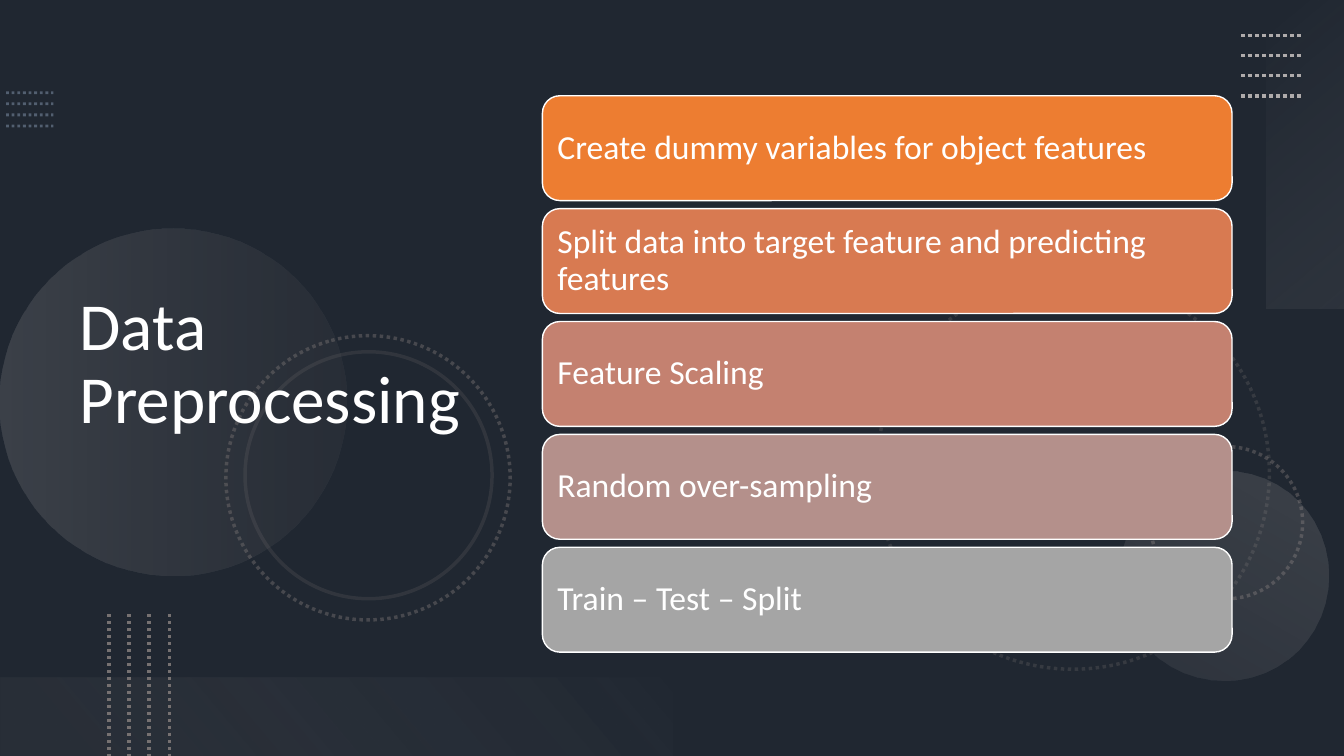
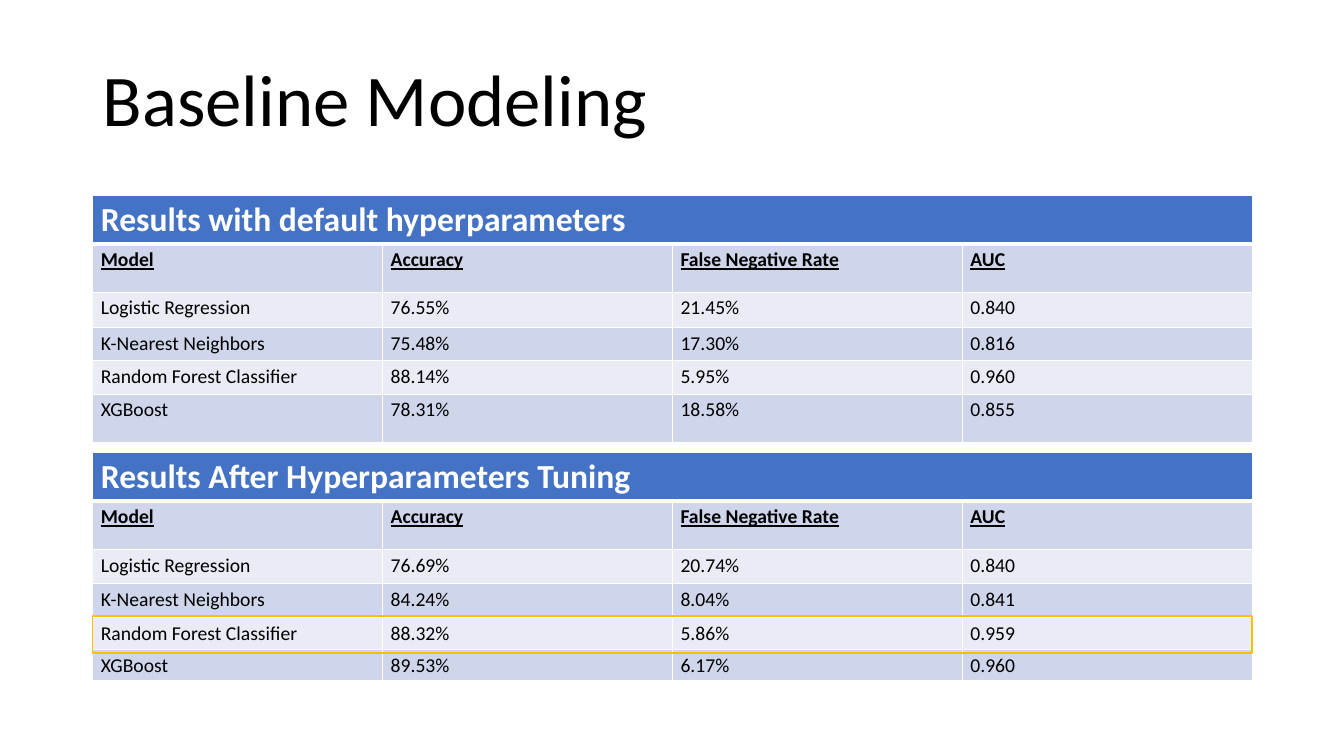
import lxml.etree
import pptx
import pptx.dml.color
import pptx.enum.dml
import pptx.enum.shapes
import pptx.enum.text
import pptx.oxml.ns
import pptx.util

Inches = pptx.util.Inches
Pt = pptx.util.Pt
Kind = pptx.enum.shapes.MSO_SHAPE
qn = pptx.oxml.ns.qn


class Theme:
    font = "Calibri"
    white, black = "FFFFFF", "000000"
    slate, steel = "44546A", "8497B0"
    gray, silver, pale = "767171", "AFABAB", "F5F5F5"
    steps = ["ED7D31", "D87A51", "C48170", "B4908B", "A5A5A5"]
    head, bands, gold = "4472C4", ["CFD5EA", "E9EBF5"], "FFC000"
    large, big, body, cell = 52, 48, 24, 14


def rgb(color):
    return pptx.dml.color.RGBColor.from_string(color)


def fade(node, *levels):
    """Set the opacity, in percent, of each colour inside the node in turn."""
    for color, level in zip(node.iter(qn("a:srgbClr")), levels):
        lxml.etree.SubElement(color, qn("a:alpha"), val=str(level * 1000))


class Deck:
    def __init__(self, theme):
        self.theme = theme
        self.show = pptx.Presentation()
        self.show.slide_width = Inches(13.33)
        self.show.slide_height = Inches(7.5)
        self.slide = None

    def page(self, color):
        self.slide = self.show.slides.add_slide(self.show.slide_layouts[6])
        fill = self.slide.background.fill
        fill.solid()
        fill.fore_color.rgb = rgb(color)

    def label(self, frame, text, size, color, bold=False, under=False):
        frame.text = text
        font = frame.paragraphs[0].runs[0].font
        font.name, font.size = self.theme.font, Pt(size)
        font.bold, font.underline = bold, under
        font.color.rgb = rgb(color)

    def block(self, frame, text, size, color):
        """Set left-aligned, wrapped text that is centred in height."""
        self.label(frame, text, size, color)
        frame.word_wrap = True
        frame.vertical_anchor = pptx.enum.text.MSO_ANCHOR.MIDDLE
        frame.paragraphs[0].alignment = pptx.enum.text.PP_ALIGN.LEFT
        frame.paragraphs[0].line_spacing = 0.9

    def title(self, text, place, size, color):
        box = self.slide.shapes.add_textbox(*map(Inches, place))
        self.block(box.text_frame, text, size, color)

    def stroke(self, line, color, width, dots=False):
        line.color.rgb = rgb(color)
        line.width = Pt(width)
        if dots:
            line.dash_style = pptx.enum.dml.MSO_LINE.ROUND_DOT

    def shape(self, kind, place, fill=None, turn=0):
        item = self.slide.shapes.add_shape(kind, *map(Inches, place))
        item.shadow.inherit = False
        item.rotation = turn
        item.line.fill.background()
        if fill:
            item.fill.solid()
            item.fill.fore_color.rgb = rgb(fill)
        else:
            item.fill.background()
        return item

    def blend(self, kind, place, turn, angle, *stops):
        """Add a shape with a gradient of (position, colour, opacity) stops."""
        item = self.shape(kind, place, turn=turn)
        item.fill.gradient()
        item.fill.gradient_angle = 360 - angle
        for stop, (spot, color, _) in zip(item.fill.gradient_stops, stops):
            stop.position = spot
            stop.color.rgb = rgb(color)
        fade(item.element.spPr, *[level for _, _, level in stops])

    def ring(self, left, top, size, level, turn=75, dots=True):
        item = self.shape(Kind.OVAL, (left, top, size, size), turn=turn)
        self.stroke(item.line, self.theme.gray, 2.5, dots)
        fade(item.element.spPr, level)

    def dots(self, start, end, step, color, width=2.5, level=100):
        """Draw four dotted lines, each moved on by step."""
        for n in range(4):
            ends = [Inches(spot + n * move)
                    for spot, move in zip(start + end, step * 2)]
            line = self.slide.shapes.add_connector(
                pptx.enum.shapes.MSO_CONNECTOR.STRAIGHT, *ends)
            self.stroke(line.line, color, width, True)
            fade(line.element.spPr, level)
            lxml.etree.SubElement(line.element.spPr, qn("a:effectLst"))

    def edge(self, cell, foot):
        """Give a cell white borders, the bottom one foot points wide."""
        props = cell._tc.get_or_add_tcPr()
        sides = {"L": 1, "R": 1, "T": 1, "B": foot}
        for spot, (side, width) in enumerate(sides.items()):
            line = lxml.etree.Element(qn("a:ln" + side), w=str(Pt(width)))
            fill = lxml.etree.SubElement(line, qn("a:solidFill"))
            lxml.etree.SubElement(fill, qn("a:srgbClr"), val=self.theme.white)
            props.insert(spot, line)

    def cell(self, cell, text, fill, foot=1, **style):
        cell.fill.solid()
        cell.fill.fore_color.rgb = rgb(fill)
        cell.margin_left = cell.margin_right = Inches(0.08)
        cell.margin_top = cell.margin_bottom = Inches(0.04)
        if text:
            self.label(cell.text_frame, text, **style)
        self.edge(cell, foot)

    def table(self, top, name, rows, highs):
        theme = self.theme
        grid = self.slide.shapes.add_table(
            len(highs), 4, Inches(0.92), Inches(top),
            Inches(11.5), Inches(sum(highs))).table
        for row, high in zip(grid.rows, highs):
            row.height = Inches(high)
        grid.cell(0, 0).merge(grid.cell(0, 3))
        for col in range(4):
            self.cell(grid.cell(0, col), "" if col else name, theme.head, 3,
                      size=theme.body, color=theme.white, bold=True)
        labels = ("Model", "Accuracy", "False Negative Rate", "AUC")
        for r, row in enumerate([labels] + rows):
            for c, text in enumerate(row):
                self.cell(grid.cell(r + 1, c), text, theme.bands[r % 2],
                          size=theme.cell, color=theme.black,
                          bold=r == 0, under=r == 0)


def decor(deck):
    theme = deck.theme
    shade = deck.shape(Kind.RECTANGLE, (0, 0, 13.33, 7.5), theme.black)
    fade(shade.element.spPr, 53)
    deck.dots((0.06, 0.92), (0.53, 0.92), (0, 0.11), theme.steel, 2, 50)
    deck.ring(8.69, 2.74, 3.9, 25)
    deck.ring(11.41, 4.43, 1.51, 45, turn=270)
    deck.blend(Kind.OVAL, (0, 2.27, 3.44, 3.44), 270, 90,
               (0, theme.silver, 20), (1, theme.gray, 10))
    deck.blend(Kind.OVAL, (11.1, 4.67, 2.08, 2.08), 210, 90,
               (0, theme.silver, 10), (1, theme.silver, 20))
    deck.ring(2.24, 3.33, 2.82, 45)
    deck.ring(2.43, 3.49, 2.45, 20, dots=False)
    deck.blend(Kind.RECTANGLE, (11.42, 1.14, 3.06, 0.78), 270, 140,
               (0, theme.pale, 0), (1, theme.silver, 10))
    deck.dots((12.31, 0.35), (12.91, 0.35), (0, 0.2), theme.silver)
    deck.blend(Kind.RECTANGLE, (0, 6.72, 6.67, 0.78), 180, 140,
               (0.1, theme.gray, 10), (1, theme.pale, 0))
    deck.dots((1.08, 6.09), (1.08, 7.5), (0.2, 0), theme.gray)


def steps(deck):
    theme = deck.theme
    deck.page(theme.slate)
    decor(deck)
    deck.title("Data Preprocessing", (0.69, 0.54, 4.59, 6.17),
               theme.big, theme.white)
    texts = ["Create dummy variables for object features",
             "Split data into target feature and predicting features",
             "Feature Scaling", "Random over-sampling", "Train – Test – Split"]
    for n, (text, color) in enumerate(zip(texts, theme.steps)):
        card = deck.shape(Kind.ROUNDED_RECTANGLE,
                          (5.38, 0.95 + n * 1.12, 6.84, 1.04), color)
        deck.stroke(card.line, theme.white, 1)
        deck.block(card.text_frame, text, theme.body, theme.white)
        card.text_frame.margin_left = Inches(0.1)


def scores(deck):
    theme = deck.theme
    deck.page(theme.white)
    deck.title("Baseline Modeling", (0.92, 0.2, 11.5, 1.65),
               theme.large, theme.black)
    deck.table(1.94, "Results with default hyperparameters", [
        ("Logistic Regression", "76.55%", "21.45%", "0.840"),
        ("K-Nearest Neighbors", "75.48%", "17.30%", "0.816"),
        ("Random Forest Classifier", "88.14%", "5.95%", "0.960"),
        ("XGBoost", "78.31%", "18.58%", "0.855"),
    ], [0.48, 0.48, 0.35, 0.33, 0.33, 0.48])
    deck.table(4.49, "Results After Hyperparameters Tuning", [
        ("Logistic Regression", "76.69%", "20.74%", "0.840"),
        ("K-Nearest Neighbors", "84.24%", "8.04%", "0.841"),
        ("Random Forest Classifier", "88.32%", "5.86%", "0.959"),
        ("XGBoost", "89.53%", "6.17%", "0.960"),
    ], [0.48, 0.48, 0.34, 0.34, 0.31, 0.27])
    best = deck.shape(Kind.RECTANGLE, (0.92, 6.11, 11.5, 0.37))
    deck.stroke(best.line, theme.gold, 1)


def main():
    deck = Deck(Theme())
    steps(deck)
    scores(deck)
    deck.show.save("out.pptx")


if __name__ == "__main__":
    main()
